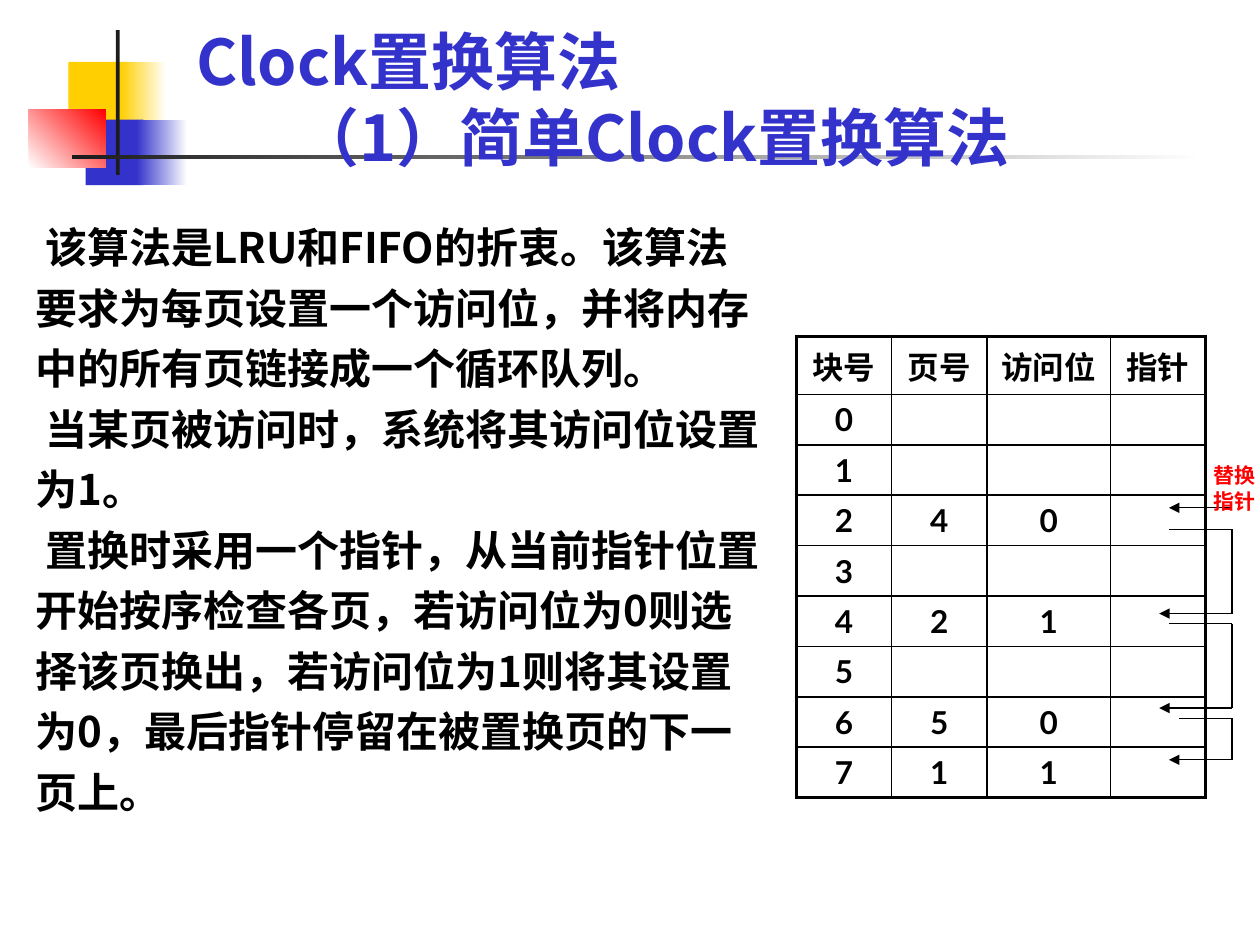
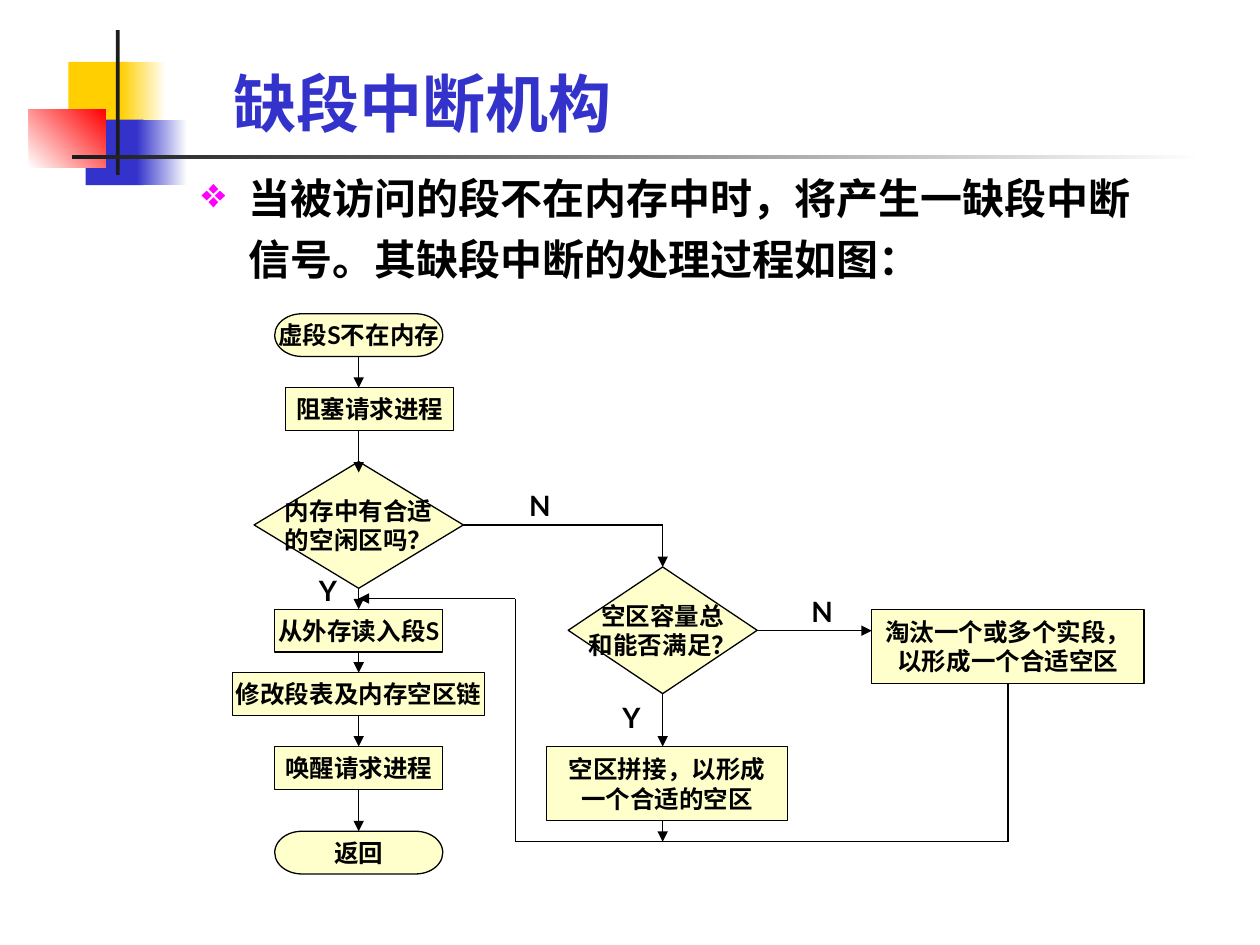
from dataclasses import dataclass
from lxml.etree import SubElement
from pptx import Presentation
from pptx.dml.color import RGBColor as Rgb
from pptx.enum.shapes import MSO_CONNECTOR as Conn, MSO_SHAPE as Kind
from pptx.enum.text import MSO_ANCHOR as Anchor, MSO_AUTO_SIZE as Fit, PP_ALIGN as Align
from pptx.oxml import parse_xml
from pptx.oxml.ns import nsdecls, qn
from pptx.util import Pt


@dataclass(frozen=True)
class Theme:
    black: str = "000000"
    white: str = "FFFFFF"
    dark: str = "1C1C1C"
    blue: str = "3333CC"
    gold: str = "FFCF01"
    red: str = "FF0000"
    pink: str = "FF00FF"
    cream: str = "FFFFCC"
    latin: str = "Lato"
    asian: str = "Noto Sans CJK SC"
    title: int = 36
    body: int = 24
    cell: int = 18
    mark: int = 16
    node: int = 14
    note: int = 12
    lead: float = 1.2
    wide: float = 1.44
    thin: float = 0.75
    grid: float = 1
    edge: float = 2.25


T = Theme()

DECOR = [
    (39, 35.3, 34.5, 37.4, T.gold, None, 0),
    (69, 35.3, 26, 37.4, T.gold, T.white, 0),
    (49, 68.4, 33, 37.4, T.blue, None, 0),
    (78, 68.4, 29, 37.4, T.blue, T.white, 0),
    (16.5, 62.6, 44, 33.2, T.white, T.red, 45),
    (66.2, 17.2, 2.2, 82.8, T.dark, None, 0),
    (41, 88.5, 648, 2.4, T.dark, T.white, 0),
]

CLOCK = ["Clock置换算法", "（1）简单Clock置换算法"]
RULES = [
    "该算法是LRU和FIFO的折衷。该算法要求为每页设置一个访问位，并将内存中的所有页链接成一个循环队列。",
    "当某页被访问时，系统将其访问位设置为1。",
    "置换时采用一个指针，从当前指针位置开始按序检查各页，若访问位为0则选择该页换出，"
    "若访问位为1则将其设置为0，最后指针停留在被置换页的下一页上。",
]
HEADS = ["块号", "页号", "访问位", "指针"]
PAGES = {2: ("4", "0"), 4: ("2", "1"), 6: ("5", "0"), 7: ("1", "1")}
COLS = [54.5, 54.5, 70.5, 54.5]
HOPS = [
    [(704, 290.2), (668, 290.2)],
    [(668, 302.4), (704, 302.4), (704, 350.6), (662.4, 350.6)],
    [(668, 356.4), (704, 356.4), (704, 404.6), (662.4, 404.6)],
    [(674, 410.4), (704, 410.4), (704, 434.2), (668, 434.2)],
]

FAULT = ["缺段中断机构"]
INTRO = ["当被访问的段不在内存中时，将产生一缺段中断信号。其缺段中断的处理过程如图："]
END, STEP, TEST = Kind.FLOWCHART_TERMINATOR, Kind.FLOWCHART_PROCESS, Kind.FLOWCHART_DECISION
MAIN, SIDE, BACK, BASE = 205, 378.7, 294.5, 481
NODES = [
    (END, MAIN, 179.3, 96, 24.4, ["虚段S不在内存"]),
    (STEP, 211.3, 221.6, 96, 24.4, ["阻塞请求进程"]),
    (TEST, MAIN, 263.8, 119.6, 72.4, ["内存中有合适", "的空闲区吗？"]),
    (STEP, MAIN, 348.2, 96, 24.4, ["从外存读入段S"]),
    (STEP, MAIN, 384.4, 144, 24.4, ["修改段表及内存空区链"]),
    (STEP, MAIN, 426.6, 96, 24.4, ["唤醒请求进程"]),
    (END, MAIN, 475, 96, 24.4, ["返回"]),
    (TEST, SIDE, 324, 108, 72.4, ["空区容量总", "和能否满足？"]),
    (STEP, 381.3, 426.6, 137.6, 42.4, ["空区拼接，以形成", "一个合适的空区"]),
    (STEP, 576, 348.2, 155.6, 42.4, ["淘汰一个或多个实段，", "以形成一个合适空区"]),
]
DROPS = [
    (MAIN, 203.7, 221.6), (MAIN, 246, 270), (MAIN, 336.2, 348.2),
    (MAIN, 372.6, 384.4), (MAIN, 408.8, 426.6), (MAIN, 451, 475),
    (SIDE, 396.4, 426.6), (SIDE, 469, BASE),
]
PATHS = [[(x, a), (x, b)] for x, a, b in DROPS] + [
    [(264.8, 300), (SIDE, 300), (SIDE, 324)],
    [(432.7, 360.4), (498.2, 360.4)],
    [(576, 390.6), (576, BASE), (BACK, BASE), (BACK, 342), (MAIN, 342)],
]
MARKS = [("N", 302.4, 279.4), ("N", 463.7, 339.8), ("Y", 182.2, 327.6), ("Y", 355.7, 400.3)]


def rgb(code):
    return Rgb.from_string(code)


def write(frame, lines, size, color=T.black, latin=T.latin, align=Align.LEFT, lead=T.lead,
          anchor=Anchor.TOP, wrap=True):
    frame.margin_left = frame.margin_right = frame.margin_top = frame.margin_bottom = 0
    frame.auto_size = Fit.NONE
    frame.word_wrap = wrap
    frame.vertical_anchor = anchor
    frame.text = "\n".join(lines)
    for para in frame.paragraphs:
        style(para, size, color, latin, align)
        para.line_spacing = Pt(round(size * lead, 2))


def style(para, size, color, latin, align):
    para.alignment = align
    for run in para.runs:
        font = run.font
        font.size, font.bold, font.name = Pt(size), True, latin
        font.color.rgb = rgb(color)
        SubElement(run._r.get_or_add_rPr(), qn("a:ea"), typeface=T.asian)


def indent(para, left, first):
    props = para._p.get_or_add_pPr()
    props.set("marL", str(Pt(left)))
    props.set("indent", str(Pt(first)))
    return props


def label(slide, box, lines, size, **look):
    shape = slide.shapes.add_textbox(*map(Pt, box))
    write(shape.text_frame, lines, size, **look)
    return shape.text_frame.paragraphs


def head(slide, lines, left, base):
    title = slide.shapes.title
    tall = T.title * T.lead * len(lines)
    title.left, title.top, title.width, title.height = map(Pt, (left, base - tall, 560, tall))
    write(title.text_frame, lines, T.title, T.blue, T.asian)
    for para in title.text_frame.paragraphs[1:]:
        indent(para, 57, 0)


def block(slide, kind, box, color):
    shape = slide.shapes.add_shape(kind, *map(Pt, box))
    shape.shadow.inherit = False
    shape.fill.solid()
    shape.fill.fore_color.rgb = rgb(color)
    return shape


def decor(slide, layout):
    for *box, start, stop, angle in DECOR:
        shape = block(slide, Kind.RECTANGLE, box, start)
        shape.line.fill.background()
        if stop:
            shape.fill.gradient()
            shape.fill.gradient_angle = angle
            for point, code in zip(shape.fill.gradient_stops, (start, stop)):
                point.color.rgb = rgb(code)
        layout.shapes.element.append(shape.element)


def trace(slide, points):
    for (xa, ya), (xb, yb) in zip(points, points[1:]):
        line = slide.shapes.add_connector(Conn.STRAIGHT, *map(Pt, (xa, ya, xb, yb)))
        line.line.width = Pt(T.thin)
        line.line.color.rgb = rgb(T.black)
        SubElement(line.element.spPr, qn("a:effectLst"))
    SubElement(line.line._get_or_add_ln(), qn("a:tailEnd"), type="triangle")


def border(cell, outer):
    props = cell._tc.get_or_add_tcPr()
    for at, (side, thick) in enumerate(outer.items()):
        width = Pt(T.edge if thick else T.grid)
        props.insert(at, parse_xml(
            f'<a:ln{side} {nsdecls("a")} w="{width}"><a:solidFill>'
            f'<a:srgbClr val="{T.black}"/></a:solidFill></a:ln{side}>'))


def grid(slide):
    rows = [HEADS] + [[str(n), *PAGES.get(n, ("", "")), ""] for n in range(8)]
    tall = [33.2] + [28.8] * 8
    last, end = len(rows) - 1, len(COLS) - 1
    box = (455, 192.2, sum(COLS), sum(tall))
    table = slide.shapes.add_table(len(rows), len(COLS), *map(Pt, box)).table
    table.first_row = table.horz_banding = False
    for col, width in zip(table.columns, COLS):
        col.width = Pt(width)
    for r, texts in enumerate(rows):
        table.rows[r].height = Pt(tall[r])
        for c, text in enumerate(texts):
            cell = table.cell(r, c)
            cell.margin_top = cell.margin_bottom = 0
            cell.margin_left = cell.margin_right = 0
            cell.vertical_anchor = Anchor.MIDDLE
            cell.fill.background()
            cell.text_frame.text = text
            style(cell.text_frame.paragraphs[0], T.cell, T.black, T.latin, Align.CENTER)
            border(cell, {"L": c == 0, "R": c == end, "T": r == 0, "B": r == last})


def clock(slide):
    head(slide, CLOCK, 112.3, 99.5)
    for para in label(slide, (20.3, 121, 417.5, 395), RULES, T.body,
                      latin=T.asian, lead=T.wide):
        indent(para, 0, 5.5)
    grid(slide)
    for hop in HOPS:
        trace(slide, hop)
    label(slide, (693.4, 264.5, 26.5, 29), ["替换指针"], T.note, color=T.red)


def fault(slide):
    head(slide, FAULT, 133.2, 80)
    para = label(slide, (115.2, 93, 533, 70), INTRO, T.body, lead=T.wide)[0]
    props = indent(para, 27, -27)
    SubElement(SubElement(props, qn("a:buClr")), qn("a:srgbClr"), val=T.pink)
    SubElement(props, qn("a:buChar"), char="❖")
    for kind, mid, top, wide, tall, lines in NODES:
        node = block(slide, kind, (mid - wide / 2, top, wide, tall), T.cream)
        node.line.width = Pt(T.thin)
        node.line.color.rgb = rgb(T.black)
        write(node.text_frame, lines, T.node, align=Align.CENTER,
              anchor=Anchor.MIDDLE, wrap=False)
    for points in PATHS:
        trace(slide, points)
    for text, left, top in MARKS:
        label(slide, (left, top, 16, 20), [text], T.mark)


def main():
    deck = Presentation()
    deck.slide_width, deck.slide_height = Pt(720), Pt(540)
    layout = deck.slide_layouts[5]
    pages = [deck.slides.add_slide(layout) for _ in range(2)]
    decor(pages[0], layout)
    for draw, slide in zip((clock, fault), pages):
        draw(slide)
    deck.save("out.pptx")


if __name__ == "__main__":
    main()
